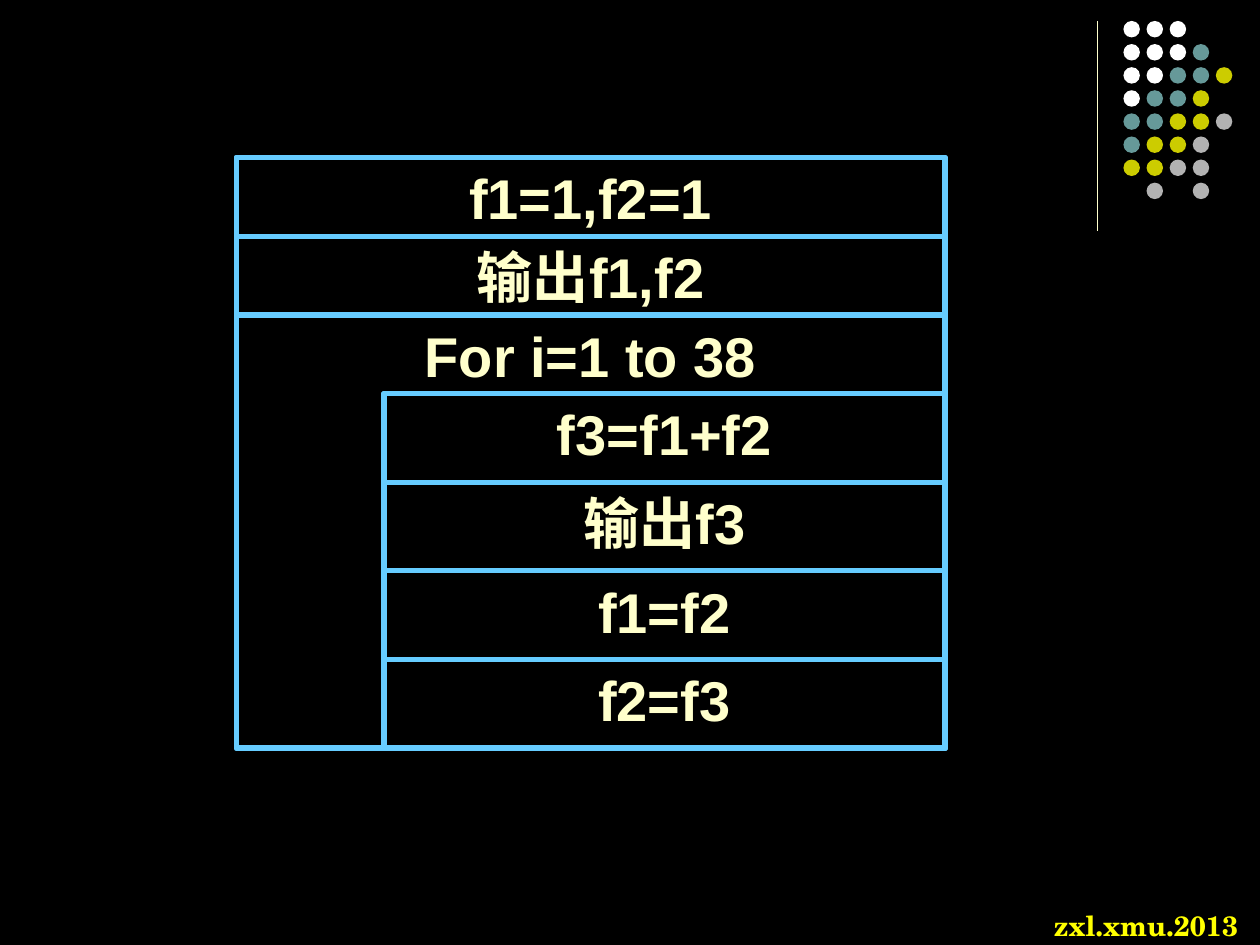
import pptx
import pptx.util
import pptx.dml.color
import pptx.enum.shapes
import pptx.enum.text
import pptx.oxml

Pt = pptx.util.Pt
Shapes = pptx.enum.shapes.MSO_SHAPE
Align = pptx.enum.text.PP_ALIGN
Anchor = pptx.enum.text.MSO_ANCHOR
EFFECTS = ('<a:effectLst xmlns:a='
           '"http://schemas.openxmlformats.org/drawingml/2006/main"/>')

LABEL = {"size": Pt(32), "name": "Arial", "bold": True}
FOOTER = {"size": Pt(16), "name": "TeX Gyre Schola", "bold": True}

DOT_COLOURS = {"W": "FFFFFF", "T": "669999", "Y": "CCCC00", "G": "B2B2B2"}
DOT_ROWS = ["WWW", "WWWT", "WWTTY", "WTTY", "TTYYG", "TYYG", "YYGG", " G G"]


def colour(value):
    return pptx.dml.color.RGBColor.from_string(value)


def write(shape, text, formats, text_colour, alignment):
    frame = shape.text_frame
    frame.word_wrap = False
    frame.vertical_anchor = Anchor.TOP
    paragraph = frame.paragraphs[0]
    paragraph.alignment = alignment
    run = paragraph.add_run()
    run.text = text
    for name, value in formats.items():
        setattr(run.font, name, value)
    run.font.color.rgb = colour(text_colour)


def add_decoration(slide, left, top):
    # Thin vertical rule
    rule = slide.shapes.add_connector(
        pptx.enum.shapes.MSO_CONNECTOR.STRAIGHT,
        Pt(left), Pt(top), Pt(left), Pt(top + 120))
    rule.line.color.rgb = colour("FFFFCC")
    rule.line.width = Pt(0.75)
    rule._element.spPr.append(pptx.oxml.parse_xml(EFFECTS))

    # Grid of coloured dots
    pitch, size = 13.2, 9.4
    group = slide.shapes.add_group_shape()
    for row, codes in enumerate(DOT_ROWS):
        for column, code in enumerate(codes):
            if code == " ":
                continue
            dot = group.shapes.add_shape(
                Shapes.OVAL, Pt(left + 15 + column * pitch),
                Pt(top + row * pitch), Pt(size), Pt(size))
            dot.shadow.inherit = False
            dot.fill.solid()
            dot.fill.fore_color.rgb = colour(DOT_COLOURS[code])
            dot.line.fill.background()


def add_block(group, kind, left, top, width, height, text):
    block = group.shapes.add_shape(
        kind, Pt(left), Pt(top), Pt(width), Pt(height))
    block.shadow.inherit = False
    block.fill.background()
    block.line.color.rgb = colour("66CCFF")
    block.line.width = Pt(3)
    if text:
        write(block, text, LABEL, "FFFFCC", Align.CENTER)


def add_structure_chart(slide, left, top, width, height):
    group = slide.shapes.add_group_shape()
    row, indent = 45, 84.4
    process = Shapes.FLOWCHART_PROCESS

    # Outer frame, opening statements and loop
    add_block(group, process, left, top, width, height, "")
    for index, text in enumerate(["f1=1,f2=1", "输出f1,f2"]):
        add_block(group, Shapes.RECTANGLE,
                  left, top + index * row, width, row, text)
    add_block(group, Shapes.RECTANGLE,
              left, top + 2 * row, width, height - 2 * row, "For i=1 to 38")

    # Loop body
    body_left, body_top = left + indent, top + 3 * row
    body_width, body_height = width - indent, height - 3 * row
    add_block(group, process, body_left, body_top, body_width, body_height, "")
    steps = ["f3=f1+f2", "输出f3", "f1=f2", "f2=f3"]
    step = body_height / len(steps)
    for index, text in enumerate(steps):
        add_block(group, process, body_left, body_top + index * step,
                  body_width, step, text)


def add_footer(slide, left, top, width, height):
    footer = slide.shapes.add_textbox(Pt(left), Pt(top), Pt(width), Pt(height))
    write(footer, "zxl.xmu.2013", FOOTER, "FFFF00", Align.LEFT)


def main():
    presentation = pptx.Presentation()
    presentation.slide_width, presentation.slide_height = Pt(720), Pt(540)
    slide = presentation.slides.add_slide(presentation.slide_layouts[6])
    slide.background.fill.solid()
    slide.background.fill.fore_color.rgb = colour("000000")

    add_decoration(slide, 627, 12)
    add_footer(slide, 595, 515.5, 125, 26.6)
    add_structure_chart(slide, 135, 90, 405, 337.5)
    presentation.save("out.pptx")


if __name__ == "__main__":
    main()
